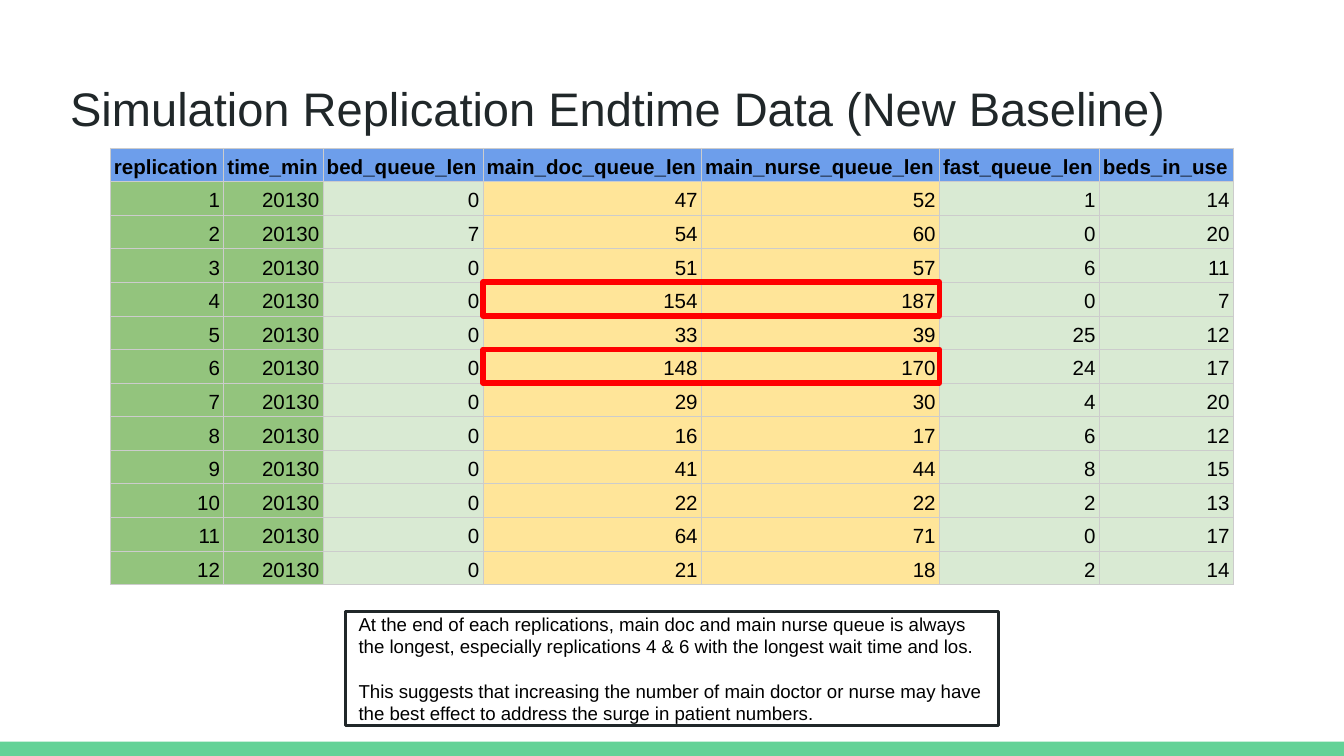
from dataclasses import dataclass
from typing import Any

from lxml import etree
from pptx import Presentation
from pptx.dml.color import RGBColor
from pptx.enum.shapes import MSO_SHAPE
from pptx.enum.text import MSO_ANCHOR, MSO_AUTO_SIZE, PP_ALIGN
from pptx.oxml.ns import qn
from pptx.util import Pt

RECTANGLE = MSO_SHAPE.RECTANGLE
TOP, MIDDLE, BOTTOM = MSO_ANCHOR.TOP, MSO_ANCHOR.MIDDLE, MSO_ANCHOR.BOTTOM
LEFT, RIGHT = PP_ALIGN.LEFT, PP_ALIGN.RIGHT
NO_AUTOFIT = MSO_AUTO_SIZE.NONE


@dataclass(frozen=True)
class Theme:
    font: str = "Arial"
    ink: str = "202729"
    black: str = "000000"
    white: str = "FFFFFF"
    accent: str = "63D297"
    alert: str = "FF0000"
    header: str = "6D9EEB"
    key: str = "93C47D"
    plain: str = "D9EAD3"
    focus: str = "FFE599"
    grid: str = "CCCCCC"
    title_size: float = 25.2
    table_size: float = 11
    note_size: float = 10


@dataclass(frozen=True)
class Column:
    name: str
    width: float
    fill: str
    values: tuple[int, ...]


@dataclass(frozen=True)
class Box:
    left: float
    top: float
    width: float
    height: float
    fill: str | None = None
    line: str | None = None
    line_width: float = 0


THEME = Theme()
REPLICATIONS = 12
TABLE_LEFT, TABLE_TOP, ROW_HEIGHT = 59, 79.2, 18
TITLE = "Simulation Replication Endtime Data (New Baseline)"
COLUMNS = (
    Column("replication", 60.9, THEME.key, tuple(range(1, REPLICATIONS + 1))),
    Column("time_min", 53.2, THEME.key, (20130,) * REPLICATIONS),
    Column("bed_queue_len", 85.7, THEME.plain, (0, 7) + (0,) * (REPLICATIONS - 2)),
    Column("main_doc_queue_len", 117, THEME.focus,
           (47, 54, 51, 154, 33, 148, 29, 16, 41, 22, 64, 21)),
    Column("main_nurse_queue_len", 127.5, THEME.focus,
           (52, 60, 57, 187, 39, 170, 30, 17, 44, 22, 71, 18)),
    Column("fast_queue_len", 85.7, THEME.plain,
           (1, 0, 6, 0, 25, 24, 4, 6, 8, 2, 0, 2)),
    Column("beds_in_use", 71.8, THEME.plain,
           (14, 20, 11, 7, 12, 17, 20, 12, 15, 13, 17, 14)),
)
LONGEST_QUEUE_ROWS = (4, 6)
NOTES = (
    "At the end of each replications, main doc and main nurse queue is always "
    "the longest, especially replications 4 & 6 with the longest wait time and los.",
    "This suggests that increasing the number of main doctor or nurse may have "
    "the best effect to address the surge in patient numbers.",
)


def apply_format(target: Any, values: dict[str, Any]) -> None:
    for name, value in values.items():
        setattr(target, name, value)


def write_text(para: Any, text: str, size: float, color: str, bold: bool = False) -> None:
    span = para.add_run()
    span.text = text
    apply_format(span.font, {"name": THEME.font, "size": Pt(size), "bold": bold})
    span.font.color.rgb = RGBColor.from_string(color)


def paint(fill: Any, color: str) -> None:
    fill.solid()
    fill.fore_color.rgb = RGBColor.from_string(color)


def draw_box(page: Any, box: Box) -> Any:
    shape = page.shapes.add_shape(
        RECTANGLE, Pt(box.left), Pt(box.top), Pt(box.width), Pt(box.height))
    shape.shadow.inherit = False
    if box.fill:
        paint(shape.fill, box.fill)
    else:
        shape.fill.background()
    if box.line:
        paint(shape.line.fill, box.line)
        shape.line.width = Pt(box.line_width)
    else:
        shape.line.fill.background()
    return shape


def format_frame(frame: Any, anchor: Any) -> None:
    sides = ("left", "right", "top", "bottom")
    apply_format(frame, {f"margin_{side}": Pt(7.2) for side in sides})
    apply_format(frame, {"word_wrap": True, "auto_size": NO_AUTOFIT,
                         "vertical_anchor": anchor})


def draw_title(page: Any) -> None:
    title = page.shapes.title
    apply_format(title, {"left": Pt(30.4), "top": Pt(35.3),
                         "width": Pt(671), "height": Pt(45.4)})
    format_frame(title.text_frame, TOP)
    para = title.text_frame.paragraphs[0]
    para.alignment = LEFT
    write_text(para, TITLE, THEME.title_size, THEME.ink)


def border_cell(cell: Any) -> None:
    properties = cell._tc.get_or_add_tcPr()
    for index, side in enumerate(("lnL", "lnR", "lnT", "lnB")):
        line = etree.Element(qn(f"a:{side}"), w=str(Pt(0.39)))
        fill = etree.SubElement(line, qn("a:solidFill"))
        etree.SubElement(fill, qn("a:srgbClr"), val=THEME.grid)
        properties.insert(index, line)


def fill_cell(cell: Any, text: str, fill: str, is_header: bool) -> None:
    apply_format(cell, {"margin_left": Pt(2), "margin_right": Pt(2),
                        "margin_top": Pt(1.5), "margin_bottom": Pt(1.5),
                        "vertical_anchor": BOTTOM})
    paint(cell.fill, fill)
    border_cell(cell)
    para = cell.text_frame.paragraphs[0]
    apply_format(para, {"alignment": LEFT if is_header else RIGHT, "line_spacing": 1.15})
    write_text(para, text, THEME.table_size, THEME.black, is_header)


def draw_table(page: Any) -> None:
    row_count = REPLICATIONS + 1
    table = page.shapes.add_table(
        row_count, len(COLUMNS), Pt(TABLE_LEFT), Pt(TABLE_TOP),
        Pt(sum(column.width for column in COLUMNS)), Pt(ROW_HEIGHT * row_count)).table
    apply_format(table, {"first_row": False, "horz_banding": False})
    for row in table.rows:
        row.height = Pt(ROW_HEIGHT)
    for column_index, column in enumerate(COLUMNS):
        table.columns[column_index].width = Pt(column.width)
        for row_index, value in enumerate((column.name, *column.values)):
            is_header = row_index == 0
            fill_cell(table.cell(row_index, column_index), str(value),
                      THEME.header if is_header else column.fill, is_header)


def draw_highlights(page: Any) -> None:
    left = TABLE_LEFT + sum(column.width for column in COLUMNS[:3])
    width = sum(column.width for column in COLUMNS if column.fill == THEME.focus)
    for row in LONGEST_QUEUE_ROWS:
        draw_box(page, Box(left, TABLE_TOP + row * ROW_HEIGHT, width, ROW_HEIGHT,
                           line=THEME.alert, line_width=3))


def draw_note(page: Any) -> None:
    note = draw_box(page, Box(185, 327.6, 350, 61.2, THEME.white, THEME.ink, 1.5))
    frame = note.text_frame
    format_frame(frame, MIDDLE)
    for index, text in enumerate(NOTES):
        para = frame.add_paragraph() if index else frame.paragraphs[0]
        apply_format(para, {"alignment": LEFT, "space_before": Pt(12 * index)})
        write_text(para, text, THEME.note_size, THEME.black)


def main() -> None:
    deck = Presentation()
    apply_format(deck, {"slide_width": Pt(720), "slide_height": Pt(405)})
    page = deck.slides.add_slide(deck.slide_layouts[5])
    paint(page.background.fill, THEME.white)
    draw_box(page, Box(0, 397.4, 720, 7.6, THEME.accent))
    draw_title(page)
    draw_table(page)
    draw_highlights(page)
    draw_note(page)
    deck.save("out.pptx")


if __name__ == "__main__":
    main()
